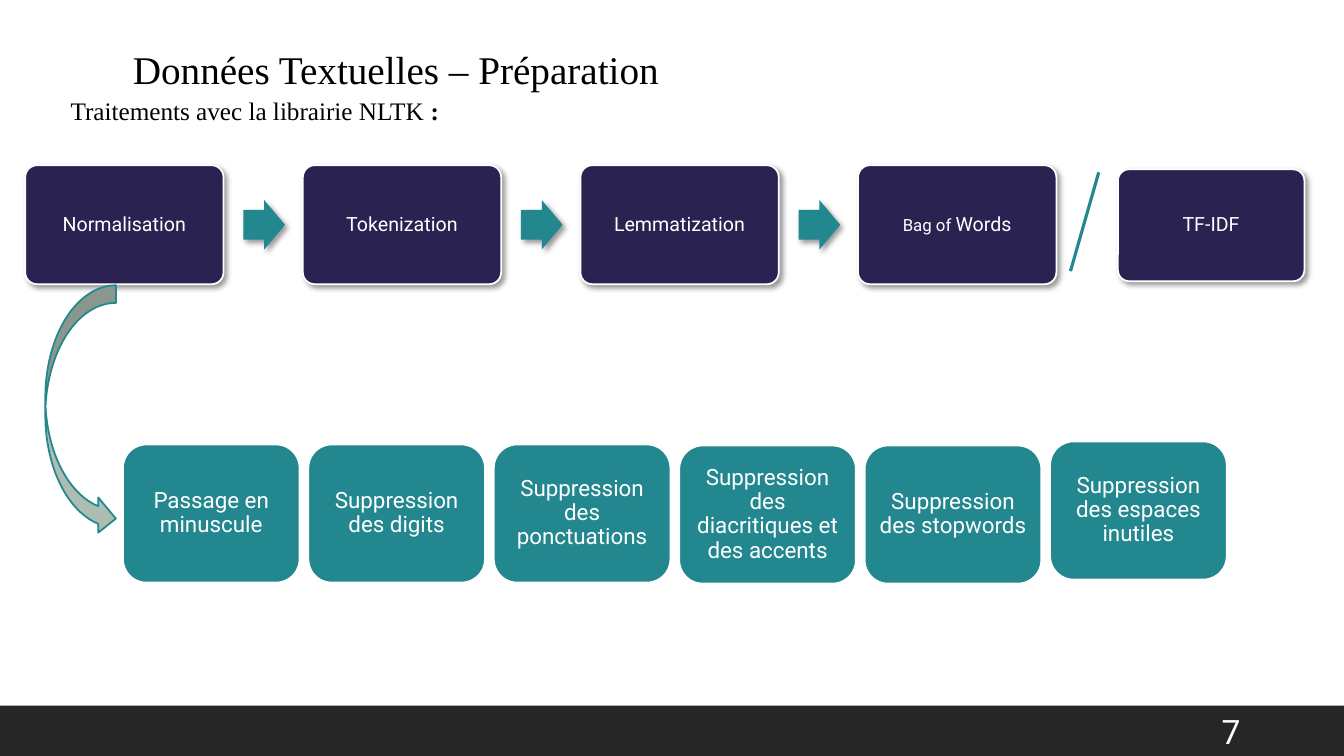
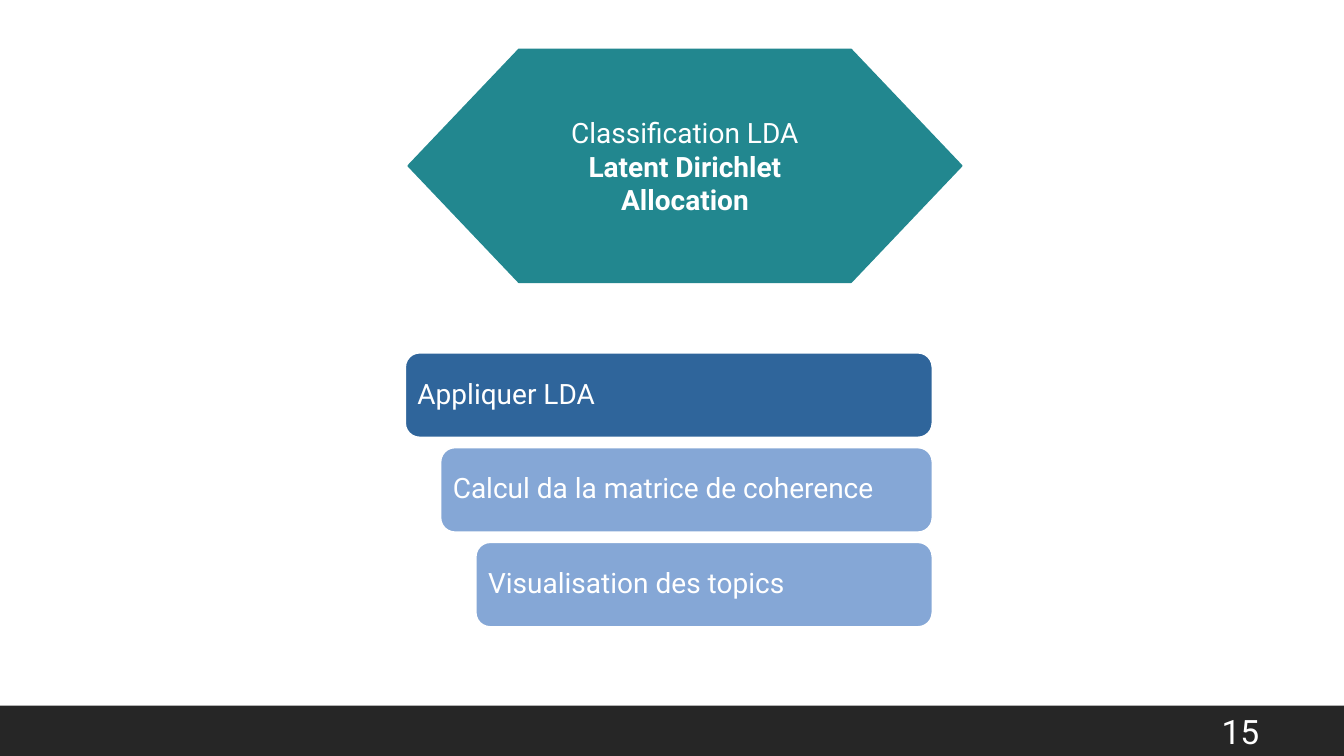
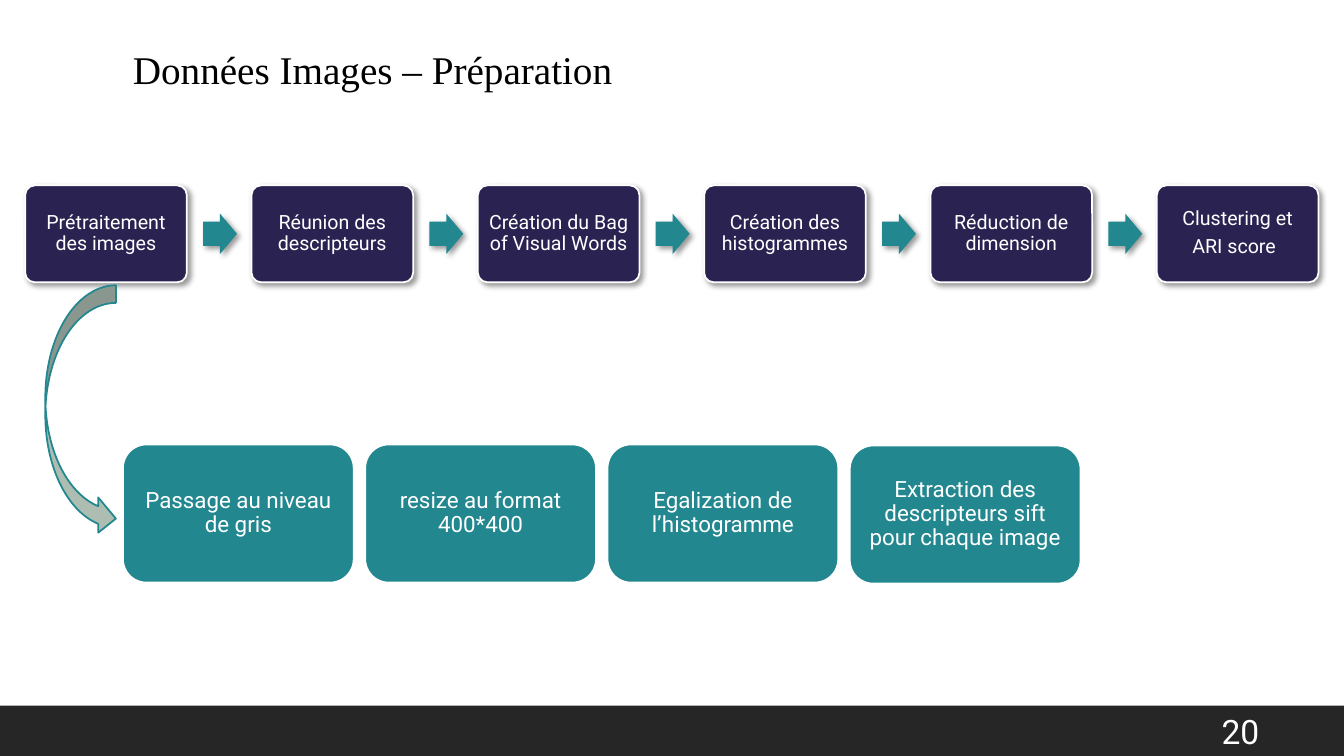
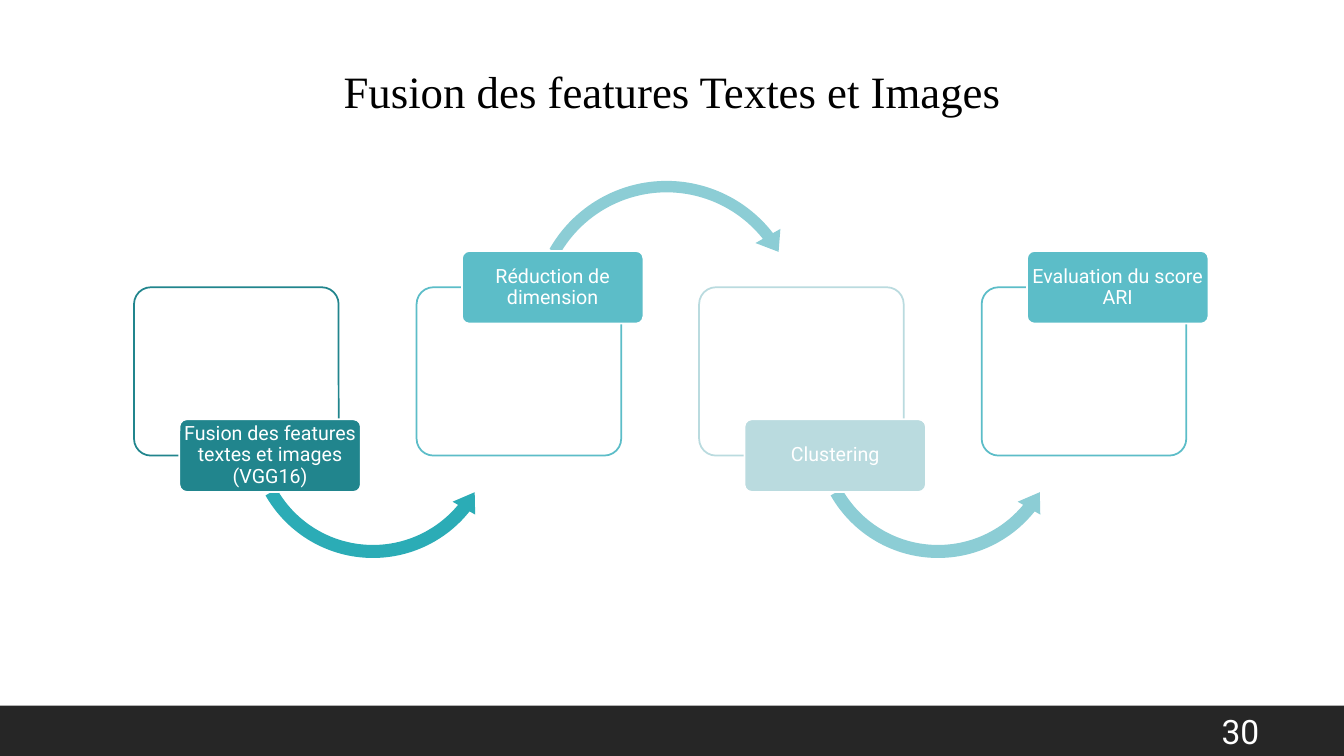
from lxml import etree
from pptx import Presentation
from pptx import util as u
from pptx.dml.color import RGBColor
from pptx.enum import shapes, text
from pptx.oxml.ns import qn

KIND = shapes.MSO_SHAPE
ALIGN = text.PP_ALIGN
CELL = 0.1
COLS, ROWS = 133.33, 75
SANS, SERIF = "Roboto", "Times New Roman"
WHITE, BLACK, DARK = "FFFFFF", "000000", "262626"
NAVY, TEAL, SAGE = "2A2352", "22878F", "ADBDB2"
BLUE, SKY = "2F659B", "85A7D6"
PINE, AQUA, MIST = "21858D", "5CBDC8", "BADBDF"
SEA, FOAM = "2BACB6", "8CCDD5"


def grid(count):
    return u.Inches(count * CELL)


def paint(target, hue):
    target.rgb = RGBColor.from_string(hue)


class Deck:
    """Holds the deck style and the current slide, and draws on its grid."""

    def __init__(self):
        self.prs = Presentation()
        self.prs.slide_width = grid(COLS)
        self.prs.slide_height = grid(ROWS)

    def page(self, number):
        self.slide = self.prs.slides.add_slide(self.prs.slide_layouts[6])
        self.shape(KIND.RECTANGLE, (0, 70, COLS, 5), DARK)
        self.label((120.2, 70.5, 8.5, 4), number, size=24, hue=WHITE)

    def letter(self, shape, words, size, hue=WHITE, font=SANS,
               align=ALIGN.CENTER, inset=(1, 0.5), lead=1):
        bits = [(words, {})] if isinstance(words, str) else words
        frame = shape.text_frame
        frame.word_wrap = True
        frame.vertical_anchor = text.MSO_ANCHOR.MIDDLE
        frame.margin_left = frame.margin_right = grid(inset[0])
        frame.margin_top = frame.margin_bottom = grid(inset[1])
        frame.text = bits[0][0]
        para = frame.paragraphs[0]
        para.alignment = align
        para.line_spacing = lead
        for more, _ in bits[1:]:
            para.add_run().text = more
        for run, (_, look) in zip(para.runs, bits):
            run.font.name = font
            run.font.size = u.Pt(look.get("size", size))
            run.font.bold = look.get("bold", False)
            paint(run.font.color, hue)

    def label(self, box, words, size, align=ALIGN.LEFT, **style):
        area = self.slide.shapes.add_textbox(*map(grid, box))
        self.letter(area, words, size, align=align, **style)

    def title(self, box, words, size=28, **style):
        self.label(box, words, size, hue=BLACK, font=SERIF, **style)

    def shape(self, kind, box, fill, line=None, adjust=(), shade=False):
        shape = self.slide.shapes.add_shape(kind, *map(grid, box))
        shape.fill.solid()
        paint(shape.fill.fore_color, fill)
        if line:
            paint(shape.line.color, line)
            shape.line.width = u.Pt(1.25)
        else:
            shape.line.fill.background()
        for spot, value in enumerate(adjust):
            shape.adjustments[spot] = value
        shape.shadow.inherit = False
        if shade:
            self.shade(shape)
        return shape

    def shade(self, shape):
        effects = shape.element.spPr.find(qn("a:effectLst"))
        drop = etree.SubElement(
            effects, qn("a:outerShdw"), blurRad=str(u.Pt(4)),
            dist=str(u.Pt(3)), dir="2700000", algn="tl", rotWithShape="0")
        tone = etree.SubElement(drop, qn("a:srgbClr"), val=BLACK)
        etree.SubElement(tone, qn("a:alpha"), val="40000")

    def card(self, box, words, fill, size=14, inset=(0.6, 0.6),
             round=0.1, shade=False, align=ALIGN.CENTER):
        card = self.shape(KIND.ROUNDED_RECTANGLE, box, fill, WHITE, [round], shade)
        self.letter(card, words, size, inset=inset, lead=0.9, align=align)

    def line(self, start, end, hue):
        line = self.slide.shapes.add_connector(
            shapes.MSO_CONNECTOR.STRAIGHT, *map(grid, start + end))
        paint(line.line.color, hue)
        line.line.width = u.Pt(2.25)
        etree.SubElement(line.element.spPr, qn("a:effectLst"))

    def chain(self, steps, span, mid):
        wide = span / (1.4 * len(steps) - 0.4)
        high, tip = 0.6 * wide, 0.25 * wide
        for spot, words in enumerate(steps):
            left = 2.5 + 1.4 * wide * spot
            if spot:
                self.shape(KIND.RIGHT_ARROW,
                           (left - 0.3 * wide, mid - tip / 2, 0.21 * wide, tip),
                           TEAL, adjust=(0.6, 0.5), shade=True)
            self.card((left, mid - high / 2, wide, high), words, NAVY, shade=True)

    def tiles(self, items, span):
        wide = span / (1.05 * len(items) - 0.05)
        for spot, (words, top) in enumerate(items):
            self.card((12.2 + 1.05 * wide * spot, top, wide, 13.7), words, TEAL,
                      size=16, inset=(0.7, 0.7), round=0.17)
        self.shape(KIND.CURVED_RIGHT_ARROW, (4.5, 28.3, 7, 24.9), SAGE, TEAL)

    def stairs(self, steps):
        for spot, (words, fill) in enumerate(steps):
            left = 40.2 + 3.5 * spot
            self.card((left, 35 + 9.4 * spot, 92.5 - left, 8.4), words, fill,
                      size=20, inset=(0.8, 0.8), round=0.17, align=ALIGN.LEFT)

    def wave(self, stages):
        for spot, (words, hue, arc) in enumerate(stages):
            left = 13.3 + 28.03 * spot
            low = spot % 2 == 0
            self.shape(KIND.ROUNDED_RECTANGLE, (left, 28.5, 20.3, 16.7),
                       WHITE, hue, [0.1])
            if arc and low:
                self.shape(KIND.LEFT_CIRCULAR_ARROW, (left + 10.8, 30.2, 25.8, 25.8),
                           arc, adjust=(0.05, 5.67, 23.42, 90.24, 0.05))
            elif arc:
                self.shape(KIND.CIRCULAR_ARROW, (left + 10.6, 17.1, 28.4, 28.4),
                           arc, adjust=(0.04, 5.1, 193.15, 125.76, 0.05))
            self.card((left + 4.5, 41.6 if low else 24.9, 18, 7.2), words, hue,
                      inset=(0.2, 0.2))


def main():
    deck = Deck()
    head = (12.2, 3.7, 64.3, 6.8)

    deck.page("7")
    deck.title(head, "Données Textuelles – Préparation", lead=0.9)
    deck.title((7, 9, 86.1, 4),
               [("Traitements avec la librairie NLTK ", {}), (":", {"bold": True})],
               size=18, align=ALIGN.JUSTIFY, inset=(0, 0.5))
    deck.chain(["Normalisation", "Tokenization", "Lemmatization",
                [("Bag of ", {"size": 12}), ("Words", {})]], 102.3, 22.3)
    deck.card((110.9, 16.8, 18.5, 11.1), "TF-IDF", NAVY, shade=True)
    deck.line((109, 17.1), (106.2, 26.9), TEAL)
    deck.tiles([("Passage en minuscule", 44.1),
                ("Suppression des digits", 44.1),
                ("Suppression des ponctuations", 44.1),
                ("Suppression des diacritiques et des accents", 44.2),
                ("Suppression des stopwords", 44.2),
                ("Suppression des espaces inutiles", 43.8)], 109.5)

    deck.page("15")
    deck.stairs([("Appliquer LDA", BLUE),
                 ("Calcul da la matrice de coherence", SKY),
                 ("Visualisation des topics", SKY)])
    topic = deck.shape(KIND.FLOWCHART_PREPARATION, (40.5, 4.9, 54.9, 23.1), TEAL, TEAL)
    deck.letter(topic, [("Classification LDA ", {}),
                        ("Latent Dirichlet Allocation", {"bold": True})], 20)

    deck.page("20")
    deck.chain(["Prétraitement des images", "Réunion des descripteurs",
                "Création du Bag of Visual Words", "Création des histogrammes",
                "Réduction de dimension",
                [("Clustering et ARI score", {}), (" ", {"size": 20})]], 128.3, 23.2)
    deck.title(head, "Données Images – Préparation", lead=0.9)
    deck.tiles([("Passage au niveau de gris", 44.1),
                ("resize au format 400*400", 44.1),
                ("Egalization de l’histogramme", 44.1),
                ("Extraction des descripteurs sift pour chaque image", 44.2)], 95)

    deck.page("30")
    deck.title((11.9, -0.6, 109.6, 19.2), "Fusion des features Textes et Images",
               size=32, align=ALIGN.CENTER)
    deck.wave([("Fusion des features textes et images (VGG16)", PINE, SEA),
               ("Réduction de dimension", AQUA, FOAM),
               ("Clustering", MIST, FOAM),
               ("Evaluation du score ARI", AQUA, None)])

    deck.prs.save("out.pptx")


if __name__ == "__main__":
    main()
